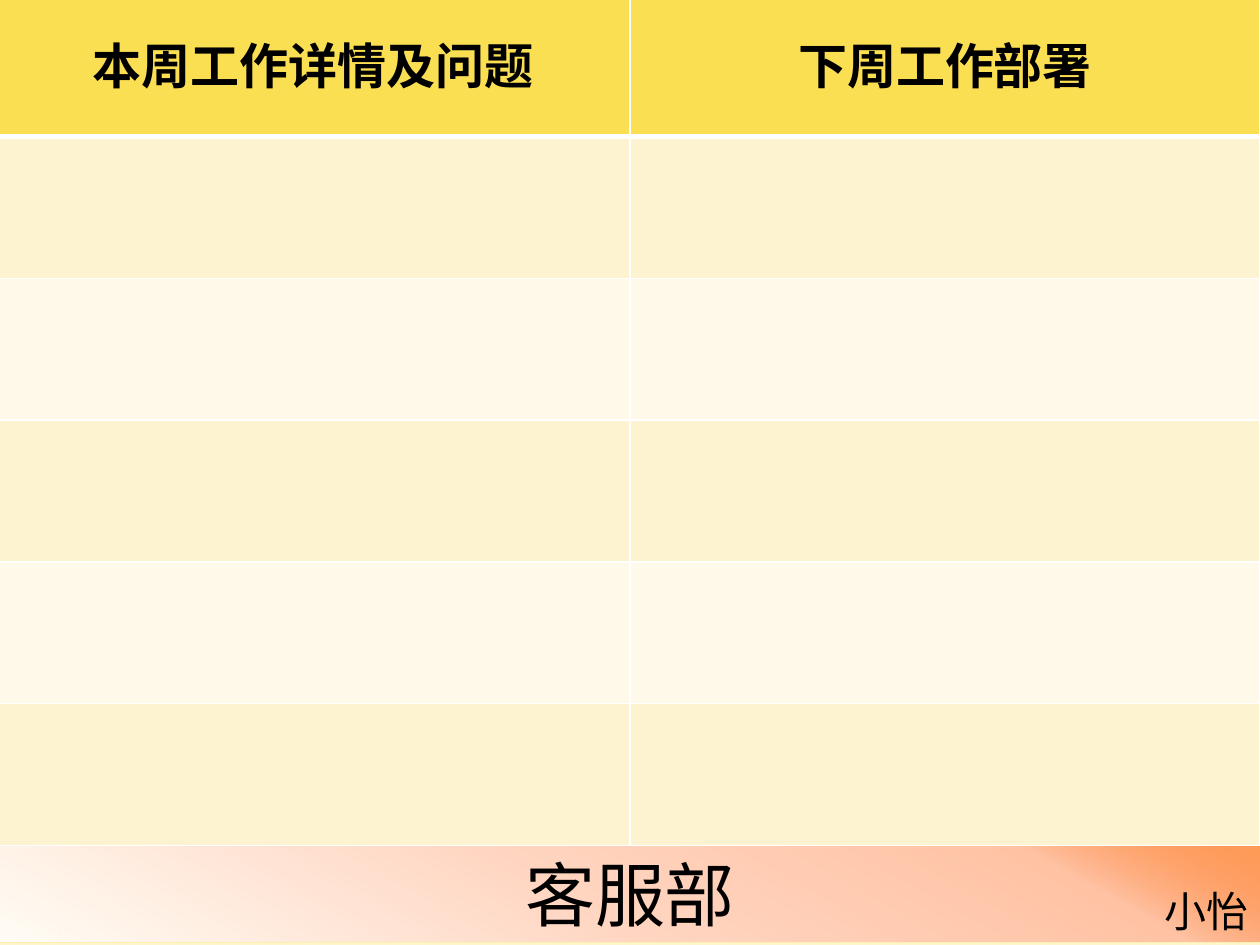
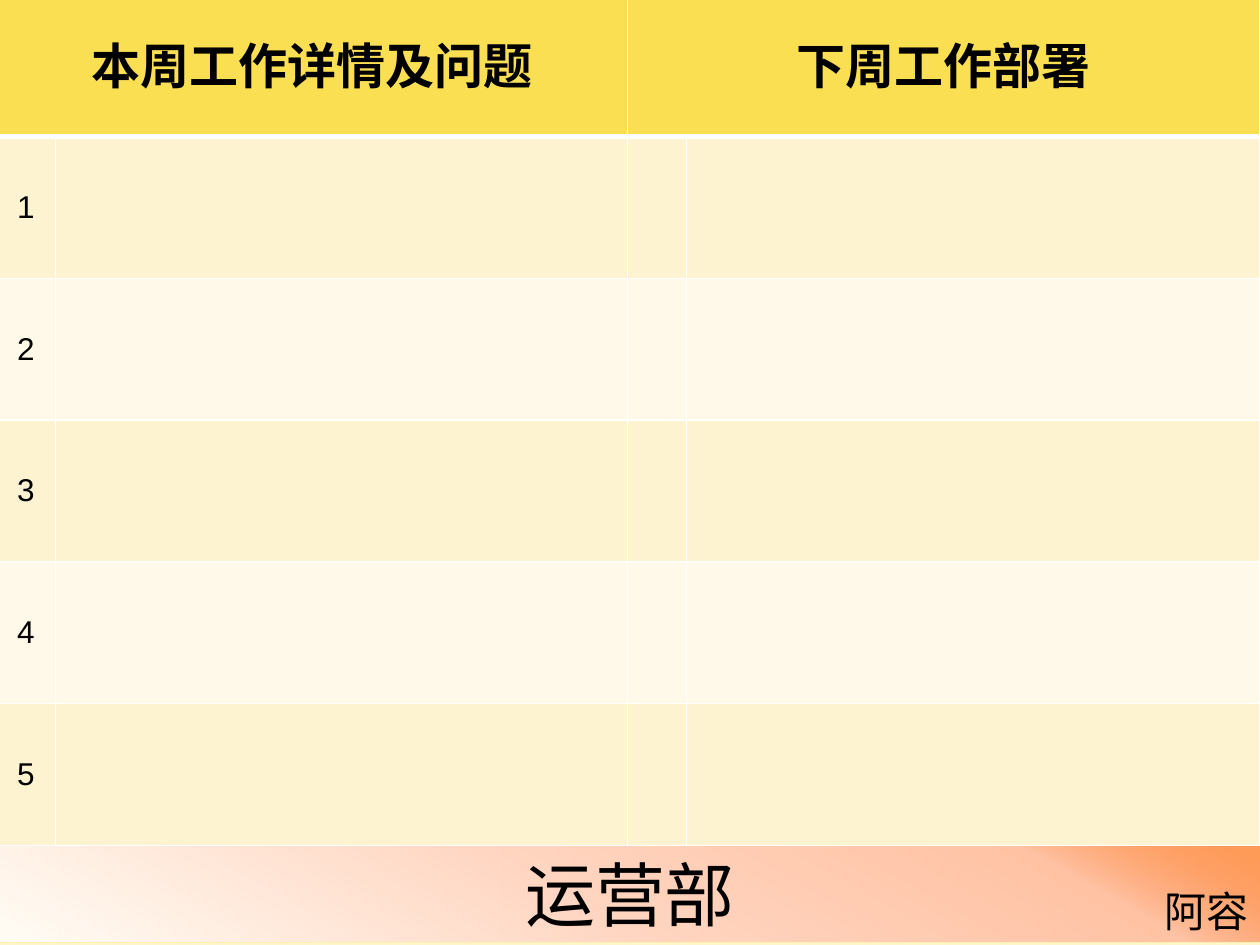
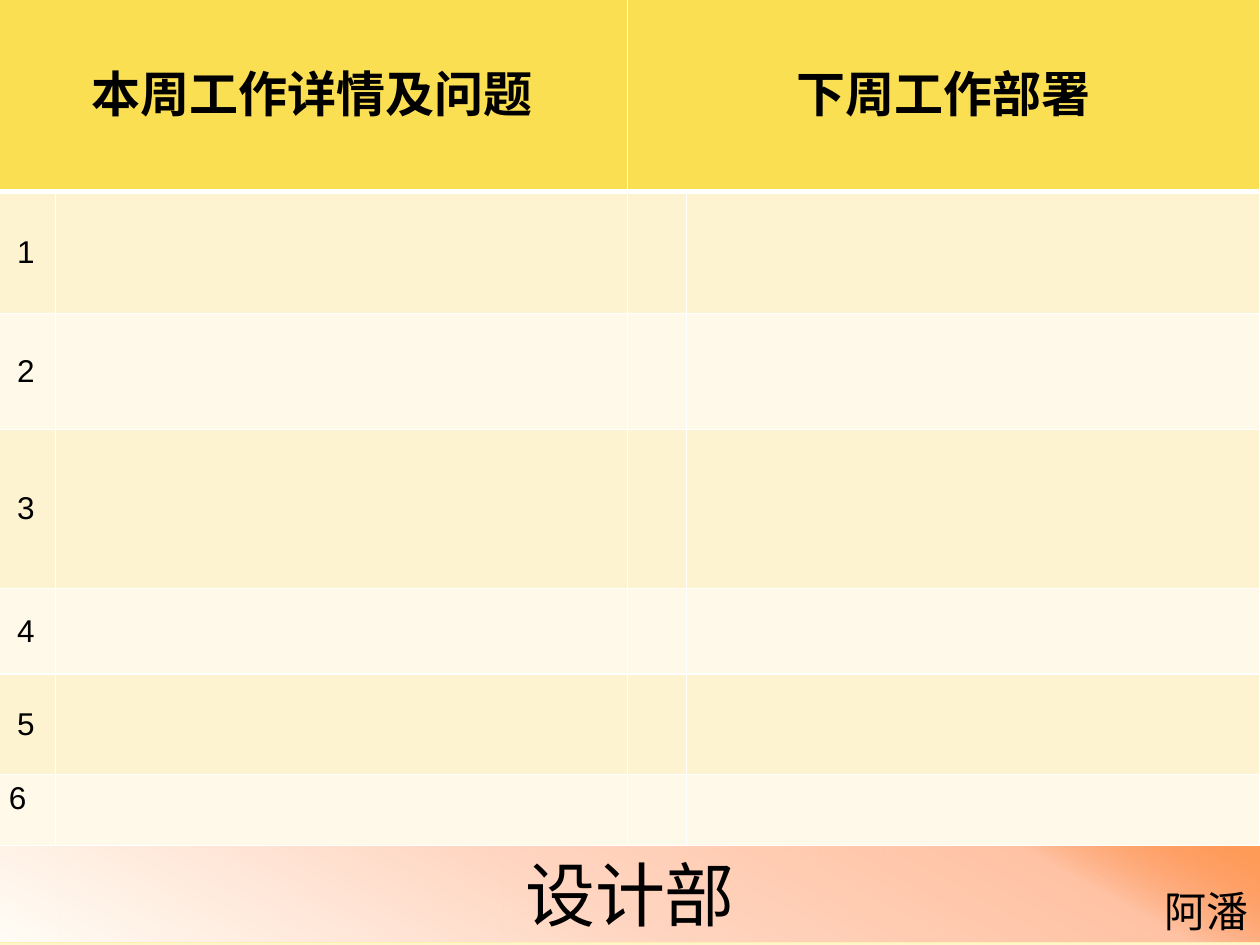
from dataclasses import dataclass
from typing import Any

from lxml import etree
from pptx import Presentation
from pptx.dml.color import RGBColor
from pptx.enum.lang import MSO_LANGUAGE_ID as Language
from pptx.enum.text import MSO_ANCHOR as Anchor, MSO_AUTO_SIZE as AutoSize, PP_ALIGN as Align
from pptx.oxml.ns import qn
from pptx.util import Inches, Pt

CHINESE_FONT = "Noto Sans CJK SC"
BLACK, WHITE = "000000", "FFFFFF"
HEADER_FILL = "FBDF53"
BAND_LINE = "FDF1B2"
ROW_FILLS = ("FDF3D1", "FEF9E9")
HEADERS = ("本周工作详情及问题", "下周工作部署")
TABLE_LEFT, TABLE_TOP, TABLE_HEIGHT = -0.03, -0.04, 6.75
TITLE_ONLY_LAYOUT = 5


@dataclass(frozen=True)
class Stop:
    position: int
    color: str
    opacity: int = 100


@dataclass(frozen=True)
class WeeklyReport:
    department: str
    person: str
    columns: tuple[float, ...]
    rows: tuple[float, ...]
    numbered: bool = True
    top_left_numbers: tuple[int, ...] = ()


PAGE_STOPS = (Stop(0, "FFFDF6"), Stop(74, BAND_LINE), Stop(83, BAND_LINE), Stop(100, "FEF5CB"))
BAND_STOPS = (Stop(0, "FFFDF6"), Stop(45, "FFD6C2"), Stop(83, "FFC2A3"), Stop(100, "FF5D0D", 58))
EVEN_ROWS = (TABLE_HEIGHT / 6,) * 6
NUMBERED_COLUMNS = (0.47, 4.54, 0.47, 4.55)

REPORTS = (
    WeeklyReport("客服部", "小怡", (5.03, 5), EVEN_ROWS, numbered=False),
    WeeklyReport("运营部", "阿容", NUMBERED_COLUMNS, EVEN_ROWS),
    WeeklyReport("设计部", "阿潘", NUMBERED_COLUMNS,
                 (1.56, 0.97, 0.92, 1.26, 0.68, 0.8, 0.56), top_left_numbers=(6,)),
)


def rgb(color: str) -> RGBColor:
    return RGBColor.from_string(color)


def set_values(target: Any, values: dict[str, Any]) -> None:
    for name, value in values.items():
        setattr(target, name, value)


def add_element(parent: Any, tag: str, **attributes: Any) -> Any:
    return etree.SubElement(parent, qn(tag), {key: str(value) for key, value in attributes.items()})


def fill_gradient(fill: Any, properties: Any, stops: tuple[Stop, ...], angle: int) -> None:
    """Give the fill its stops; the angle runs clockwise from left to right."""
    fill.gradient()
    gradient = properties.find(qn("a:gradFill"))
    for child in list(gradient):
        gradient.remove(child)
    stop_list = add_element(gradient, "a:gsLst")
    for stop in stops:
        item = add_element(stop_list, "a:gs", pos=stop.position * 1000)
        color = add_element(item, "a:srgbClr", val=stop.color)
        if stop.opacity < 100:
            add_element(color, "a:alpha", val=stop.opacity * 1000)
    add_element(gradient, "a:lin", ang=angle * 60000, scaled=0)


def write_text(frame: Any, text: str, size: int, align: Align | None,
               font_name: str = CHINESE_FONT, bold: bool = False) -> None:
    paragraph = frame.paragraphs[0]
    paragraph.alignment = align
    run = paragraph.add_run()
    run.text = text
    set_values(run.font, {"size": Pt(size), "bold": bold, "name": font_name,
                          "language_id": Language.SIMPLIFIED_CHINESE})
    run.font.color.rgb = rgb(BLACK)
    add_element(run.font._element, "a:ea", typeface=font_name)


def format_cell(cell: Any, color: str, top: int, bottom: int) -> None:
    """Draw white borders of the given point widths, then fill the cell."""
    properties = cell._tc.get_or_add_tcPr()
    for side, width in {"L": 1, "R": 1, "T": top, "B": bottom}.items():
        line = add_element(properties, f"a:ln{side}", w=Pt(width))
        add_element(add_element(line, "a:solidFill"), "a:srgbClr", val=WHITE)
    cell.fill.solid()
    cell.fill.fore_color.rgb = rgb(color)


def add_department_band(slide: Any, department: str) -> None:
    band = slide.shapes.title
    set_values(band, {"left": Inches(-0.02), "top": Inches(6.71),
                      "width": Inches(10.04), "height": Inches(0.77)})
    fill_gradient(band.fill, band._element.spPr, BAND_STOPS, 299)
    band.line.color.rgb = rgb(BAND_LINE)
    band.line.width = Pt(0.75)
    set_values(band.text_frame, {"auto_size": AutoSize.NONE, "vertical_anchor": Anchor.MIDDLE})
    write_text(band.text_frame, department, 40, Align.CENTER)


def add_person(slide: Any, person: str) -> None:
    label = slide.shapes.add_textbox(Inches(9.14), Inches(6.98), Inches(0.87), Inches(0.5))
    label.text_frame.word_wrap = False
    write_text(label.text_frame, person, 24, Align.RIGHT)


def add_report_table(slide: Any, report: WeeklyReport) -> None:
    table = slide.shapes.add_table(
        len(report.rows), len(report.columns), Inches(TABLE_LEFT), Inches(TABLE_TOP),
        Inches(sum(report.columns)), Inches(TABLE_HEIGHT)).table
    for column, width in zip(table.columns, report.columns):
        column.width = Inches(width)
    for number, height in enumerate(report.rows):
        table.rows[number].height = Inches(height)
        color = ROW_FILLS[(number - 1) % 2] if number else HEADER_FILL
        for cell in table.rows[number].cells:
            format_cell(cell, color, top=3 if number == 1 else 1, bottom=1 if number else 3)
        if number and report.numbered:
            cell = table.cell(number, 0)
            centred = number not in report.top_left_numbers
            cell.vertical_anchor = Anchor.MIDDLE if centred else Anchor.TOP
            write_text(cell.text_frame, str(number), 18,
                       Align.CENTER if centred else Align.LEFT, "Arial")

    span = len(report.columns) // len(HEADERS)
    for index, header in enumerate(HEADERS):
        cell = table.cell(0, index * span)
        if span > 1:
            cell.merge(table.cell(0, (index + 1) * span - 1))
        set_values(cell, {"vertical_anchor": Anchor.MIDDLE, "margin_left": Inches(0.01),
                          "margin_top": Inches(0.01), "margin_right": Inches(0.01),
                          "margin_bottom": Inches(0.05)})
        write_text(cell.text_frame, header, 28, Align.CENTER, bold=True)


def main() -> None:
    presentation = Presentation()
    set_values(presentation, {"slide_width": Inches(10), "slide_height": Inches(7.5)})
    master = presentation.slide_master
    page_fill = master.background.fill
    fill_gradient(page_fill, master._element.cSld.bg.bgPr, PAGE_STOPS, 90)
    for report in REPORTS:
        slide = presentation.slides.add_slide(presentation.slide_layouts[TITLE_ONLY_LAYOUT])
        add_department_band(slide, report.department)
        add_person(slide, report.person)
        add_report_table(slide, report)
    presentation.save("out.pptx")


if __name__ == "__main__":
    main()
